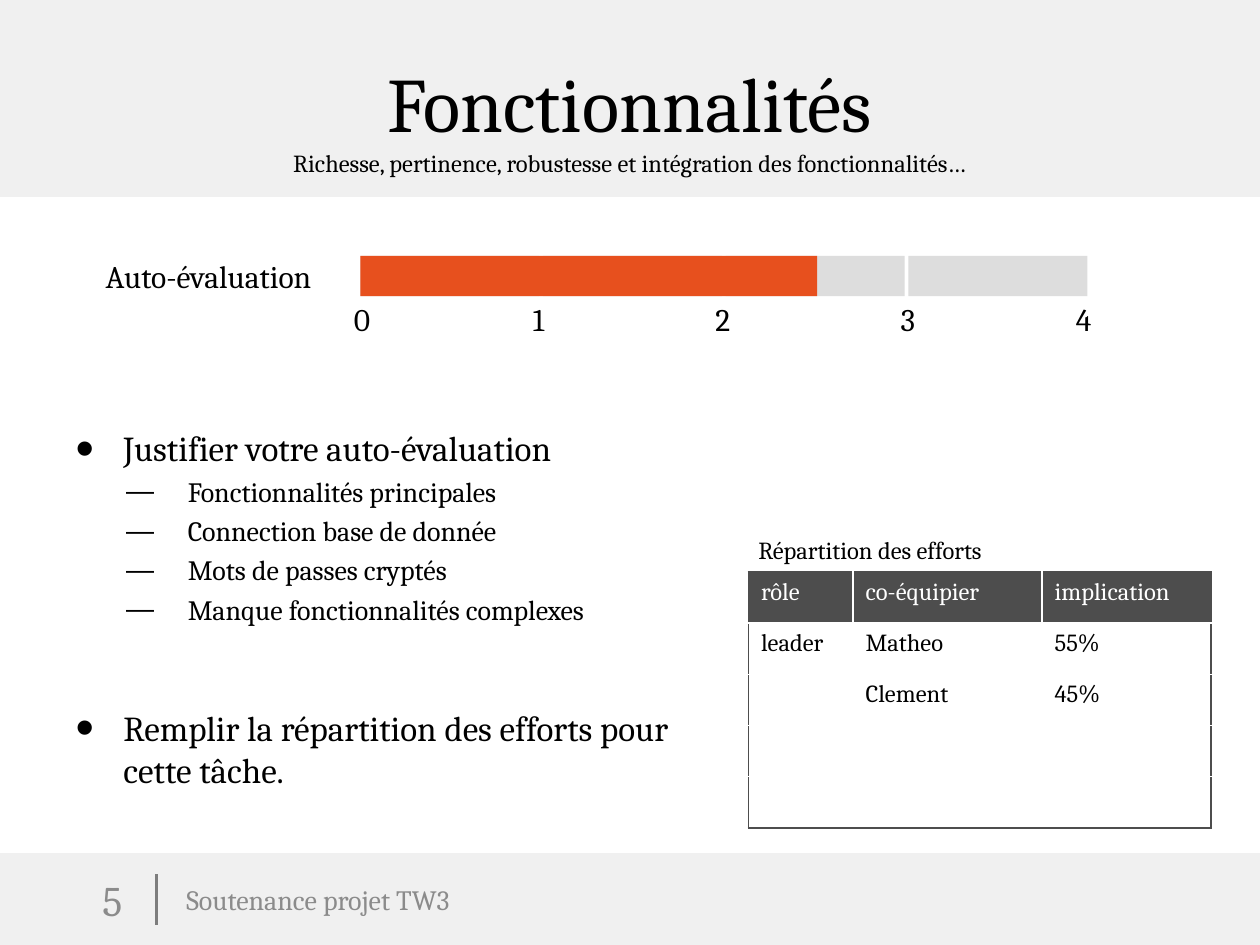
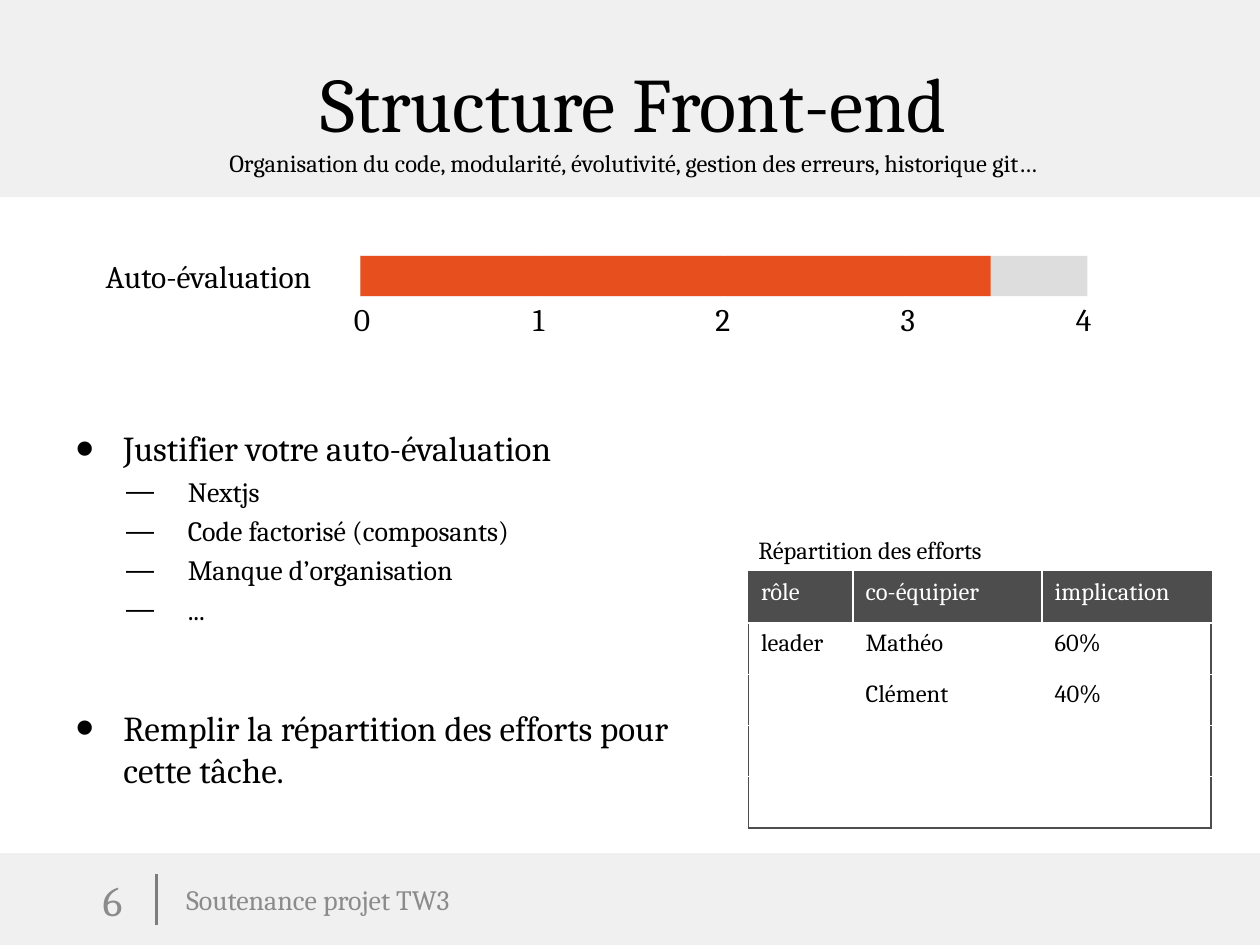
from lxml import etree
from pptx import Presentation
from pptx.dml.color import RGBColor
from pptx.enum import shapes, text
from pptx.oxml import ns
from pptx.util import Inches, Pt

BLACK = RGBColor(0x00, 0x00, 0x00)
WHITE = RGBColor(0xFF, 0xFF, 0xFF)
BAND = RGBColor(0xF0, 0xF0, 0xF0)
RULE = RGBColor(0x7D, 0x7D, 0x7D)
FOOTER = RGBColor(0x8B, 0x8B, 0x8B)
GAUGE = RGBColor(0xDD, 0xDD, 0xDD)
SCORE = RGBColor(0xE7, 0x50, 0x1E)
DARK = RGBColor(0x4D, 0x4D, 0x4D)

FONT = "Cambria"
GAUGE_LEFT, GAUGE_TOP, GAUGE_STEP = 2.86, 2.03, 1.45
SCALE_LEFTS = (2.71, 4.13, 5.58, 7.05, 8.44)
TABLE_COLUMNS = (0.83, 1.5, 1.34)
TABLE_ROWS = 5
TABLE_HEIGHT = 2.03
TABLE_HEADER = ("rôle", "co-équipier", "implication")

EVALUATIONS = (
    dict(
        page=5, title="Fonctionnalités", title_left=0.5, score=2.5,
        criteria="Richesse, pertinence, robustesse et intégration des fonctionnalités…",
        reasons=("Fonctionnalités principales", "Connection base de donnée",
                 "Mots de passes cryptés", "Manque fonctionnalités complexes"),
        efforts=(("leader", "Matheo", "55%"), ("", "Clement", "45%")),
    ),
    dict(
        page=6, title="Structure Front-end", title_left=0.56, score=3.45,
        criteria="Organisation du code, modularité, évolutivité, gestion des erreurs, "
                 "historique git…",
        reasons=("Nextjs", "Code factorisé (composants)", "Manque d’organisation", "..."),
        efforts=(("leader", "Mathéo", "60%"), ("", "Clément", "40%")),
    ),
)


def add_xml(parent, tag, **attributes):
    return etree.SubElement(parent, ns.qn(tag), attributes)


def set_font(font, size, color=BLACK):
    font.name, font.size, font.bold = FONT, Pt(size), False
    font.color.rgb = color


def style_paragraph(paragraph, size, color=BLACK):
    """Set the paragraph font and its runs, as some viewers read only the runs."""
    for font in (paragraph.font, *(run.font for run in paragraph.runs)):
        set_font(font, size, color)


def set_bullet(paragraph, character, margin, hanging, percent=100):
    properties = paragraph._p.get_or_add_pPr()
    properties.set("marL", str(Inches(margin)))
    properties.set("indent", str(-Inches(hanging)))
    add_xml(properties, "a:buSzPct", val=str(percent * 1000))
    add_xml(properties, "a:buChar", char=character)


def set_borders(cell, **colors):
    """Draw the edges in the order left, right, top, bottom."""
    properties = cell._tc.get_or_add_tcPr()
    for index, edge in enumerate(("L", "R", "T", "B")):
        line = etree.Element(ns.qn(f"a:ln{edge}"), w=str(Pt(0.96)))
        fill = add_xml(line, "a:solidFill")
        add_xml(fill, "a:srgbClr", val=str(colors[edge]))
        properties.insert(index, line)


def place(shape, left, top, width, height):
    shape.left, shape.top = Inches(left), Inches(top)
    shape.width, shape.height = Inches(width), Inches(height)


class EvaluationDeck:
    def __init__(self):
        self.presentation = Presentation()
        self.presentation.slide_width = Inches(10)
        self.presentation.slide_height = Inches(7.5)
        self.slide = None

    def new_slide(self):
        layout = self.presentation.slide_layouts[1]
        self.slide = self.presentation.slides.add_slide(layout)

    def rectangle(self, left, top, width, height, color, outlined=False):
        shape = self.slide.shapes.add_shape(
            shapes.MSO_SHAPE.RECTANGLE,
            Inches(left), Inches(top), Inches(width), Inches(height))
        shape.shadow.inherit = False
        shape.fill.solid()
        shape.fill.fore_color.rgb = color
        if outlined:
            shape.line.color.rgb = color
            shape.line.width = Pt(2)
        else:
            shape.line.fill.background()

    def label(self, content, left, top, width, height, size, color=BLACK,
              align=text.PP_ALIGN.LEFT, anchor=text.MSO_ANCHOR.TOP):
        box = self.slide.shapes.add_textbox(
            Inches(left), Inches(top), Inches(width), Inches(height))
        frame = box.text_frame
        frame.word_wrap = True
        frame.vertical_anchor = anchor
        paragraph = frame.paragraphs[0]
        paragraph.text = content
        paragraph.alignment = align
        style_paragraph(paragraph, size, color)

    def bands(self):
        self.rectangle(0, 6.78, 10, 0.72, BAND, outlined=True)
        self.rectangle(0, 0, 10, 1.55, BAND, outlined=True)
        rule = self.slide.shapes.add_connector(
            shapes.MSO_CONNECTOR.STRAIGHT,
            Inches(1.24), Inches(6.94), Inches(1.24), Inches(7.34))
        rule.line.color.rgb = RULE
        rule.line.width = Pt(1.5)
        add_xml(rule.element.spPr, "a:effectLst")

    def footer(self, page):
        middle = text.MSO_ANCHOR.MIDDLE
        self.label("Soutenance projet TW3", 1.38, 6.94, 4.88, 0.4, 16, FOOTER, anchor=middle)
        self.label(str(page), 0.2, 6.94, 0.87, 0.4, 24, FOOTER,
                   align=text.PP_ALIGN.RIGHT, anchor=middle)

    def title(self, heading, criteria, left):
        title = self.slide.shapes.title
        place(title, left, 0.3, 9.5 - left, 1.25)
        title.element.getparent().append(title.element)  # in front of the top band
        frame = title.text_frame
        frame.auto_size = text.MSO_AUTO_SIZE.NONE
        frame.vertical_anchor = text.MSO_ANCHOR.MIDDLE
        paragraph = frame.paragraphs[0]
        paragraph.alignment = text.PP_ALIGN.CENTER
        paragraph.space_before = Pt(10.6)
        paragraph.text = f"{heading}\v{criteria}"
        for run, size in zip(paragraph.runs, (44, 14)):
            set_font(run.font, size)

    def gauge(self, score):
        self.label("Auto-évaluation", 0.74, 1.99, 2.28, 0.4, 18)
        for step in range(4):
            self.rectangle(GAUGE_LEFT + step * GAUGE_STEP, GAUGE_TOP, 1.42, 0.32, GAUGE)
        for mark, left in enumerate(SCALE_LEFTS):
            self.label(str(mark), left, 2.33, 0.31, 0.4, 18)
        self.rectangle(GAUGE_LEFT, GAUGE_TOP, score * GAUGE_STEP, 0.32, SCORE)

    def bullets(self, reasons):
        body = self.slide.placeholders[1]
        place(body, 0.5, 2.96, 5.29, 3.74)
        frame = body.text_frame
        frame.auto_size = text.MSO_AUTO_SIZE.NONE
        frame.vertical_anchor = text.MSO_ANCHOR.MIDDLE
        items = [("Justifier votre auto-évaluation", 0, 24),
                 *((reason, 1, 3.2) for reason in reasons),
                 ("Remplir la répartition des efforts pour cette tâche.", 0, 46)]
        for index, (content, level, space) in enumerate(items):
            paragraph = frame.add_paragraph() if index else frame.paragraphs[0]
            paragraph.text = content
            paragraph.level = level
            paragraph.space_before = Pt(space)
            if level:
                set_bullet(paragraph, "—", 0.89, 0.49)
            else:
                set_bullet(paragraph, "•", 0.38, 0.38, 150)
            style_paragraph(paragraph, 16 if level else 20)

    def effort_table(self, efforts):
        self.label("Répartition des efforts", 5.92, 4.2, 2.4, 0.33, 14)
        table = self.slide.shapes.add_table(
            TABLE_ROWS, len(TABLE_COLUMNS), Inches(5.94), Inches(4.54),
            Inches(sum(TABLE_COLUMNS)), Inches(TABLE_HEIGHT)).table
        table.first_row = table.horz_banding = False
        for column, width in zip(table.columns, TABLE_COLUMNS):
            column.width = Inches(width)
        contents = (TABLE_HEADER, *efforts)
        last_row, last_column = TABLE_ROWS - 1, len(TABLE_COLUMNS) - 1
        for row in range(TABLE_ROWS):
            for column in range(len(TABLE_COLUMNS)):
                cell = table.cell(row, column)
                if row == 0:
                    cell.fill.solid()
                    cell.fill.fore_color.rgb = DARK
                else:
                    cell.fill.background()
                set_borders(cell,
                            L=DARK if column == 0 else WHITE,
                            R=DARK if column == last_column else WHITE,
                            T=DARK if row == 0 else WHITE,
                            B=DARK if row == last_row else WHITE)
                if row < len(contents) and contents[row][column]:
                    cell.text = contents[row][column]
                    style_paragraph(cell.text_frame.paragraphs[0], 14,
                                    BLACK if row else WHITE)


def main():
    deck = EvaluationDeck()
    for evaluation in EVALUATIONS:
        deck.new_slide()
        deck.bands()
        deck.title(evaluation["title"], evaluation["criteria"], evaluation["title_left"])
        deck.gauge(evaluation["score"])
        deck.bullets(evaluation["reasons"])
        deck.effort_table(evaluation["efforts"])
        deck.footer(evaluation["page"])
    deck.presentation.save("out.pptx")


if __name__ == "__main__":
    main()
